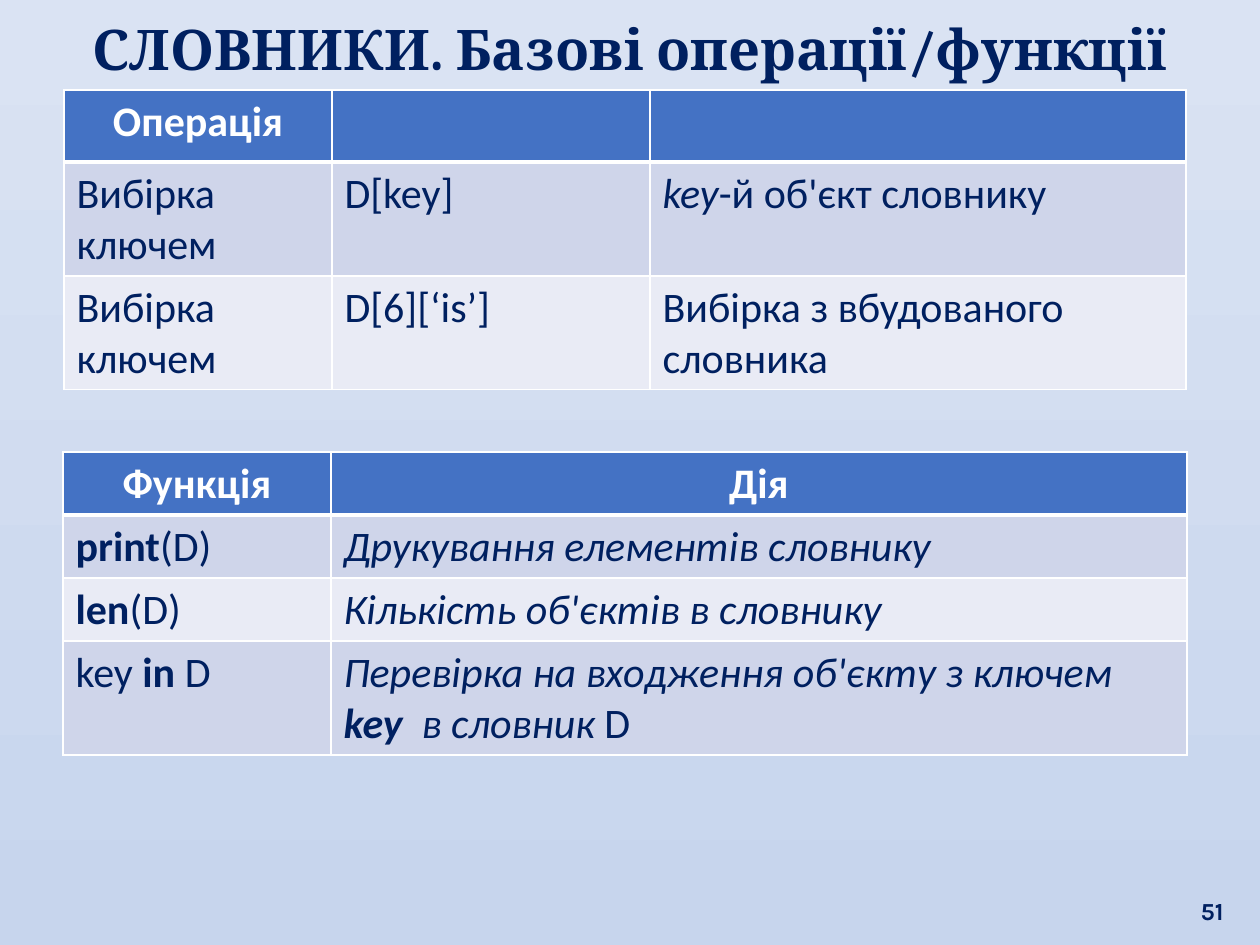
from lxml.etree import SubElement
from pptx import Presentation
from pptx.dml.color import RGBColor
from pptx.enum.text import MSO_ANCHOR, MSO_AUTO_SIZE, PP_ALIGN
from pptx.oxml.ns import qn
from pptx.util import Emu, Pt

PX_PER_INCH = 126
NAVY, WHITE, BLUE = "002060", "FFFFFF", "4472C4"
BANDS = ("CFD5EA", "E9EBF5")


def px(length):
    return Emu(round(length * 914400 / PX_PER_INCH))


def color(hex_value):
    return RGBColor.from_string(hex_value)


def write_text(frame, runs, font="Calibri", size=24, fill=NAVY, bold=False, align=PP_ALIGN.LEFT):
    """Write runs given as (text, marks); marks may hold b (bold) and i (italic)."""
    paragraph = frame.paragraphs[0]
    paragraph.alignment = align
    for text, marks in runs:
        run = paragraph.add_run()
        run.text = text
        run.font.name = font
        run.font.size = Pt(size)
        run.font.bold = bold or "b" in marks
        run.font.italic = "i" in marks
        run.font.color.rgb = color(fill)


class SlideBuilder:
    def __init__(self, presentation):
        self.slide = presentation.slides.add_slide(presentation.slide_layouts[5])

    def background(self, top, bottom):
        fill = self.slide.background.fill
        fill.gradient()
        fill.gradient_angle = 270
        for stop, hex_value, position in zip(fill.gradient_stops, (top, bottom), (0, 1)):
            stop.color.rgb = color(hex_value)
            stop.position = position

    def title(self, text, left, top, width, height):
        heading = self.slide.shapes.title
        heading.left, heading.top = px(left), px(top)
        heading.width, heading.height = px(width), px(height)
        frame = heading.text_frame
        frame.word_wrap = True
        frame.auto_size = MSO_AUTO_SIZE.NONE
        frame.vertical_anchor = MSO_ANCHOR.MIDDLE
        # 32 pt keeps the heading on one line above the first table
        write_text(frame, [(text, "b")], font="Cambria", size=32, align=PP_ALIGN.CENTER)

    def page_number(self, text, left, top, width, height):
        box = self.slide.shapes.add_textbox(px(left), px(top), px(width), px(height))
        frame = box.text_frame
        frame.word_wrap = True
        frame.vertical_anchor = MSO_ANCHOR.BOTTOM
        write_text(frame, [(text, "b")], font="Karla", size=14, align=PP_ALIGN.RIGHT)

    def borders(self, cell, **widths):
        properties = cell._tc.get_or_add_tcPr()
        for side in "LRTB":
            line = SubElement(properties, qn(f"a:ln{side}"), w=str(Pt(widths.get(side, 1))))
            solid = SubElement(line, qn("a:solidFill"))
            SubElement(solid, qn("a:srgbClr"), val=WHITE)

    def table(self, left, top, columns, heights, header, body):
        grid = self.slide.shapes.add_table(
            len(heights), len(columns), px(left), px(top), px(sum(columns)), px(sum(heights))
        ).table
        grid.horz_banding = False
        for column, width in zip(grid.columns, columns):
            column.width = px(width)
        for row, height in zip(grid.rows, heights):
            row.height = px(height)

        # Header with a thick rule below it
        for c, label in enumerate(header):
            cell = grid.cell(0, c)
            self.borders(cell, B=3)
            cell.fill.solid()
            cell.fill.fore_color.rgb = color(BLUE)
            if label:
                write_text(cell.text_frame, [(label, "")], fill=WHITE, bold=True,
                           align=PP_ALIGN.CENTER)

        # Banded body
        for r, row in enumerate(body, start=1):
            for c, runs in enumerate(row):
                cell = grid.cell(r, c)
                self.borders(cell, T=3 if r == 1 else 1)
                cell.fill.solid()
                cell.fill.fore_color.rgb = color(BANDS[(r - 1) % 2])
                write_text(cell.text_frame, runs)


def main():
    presentation = Presentation()
    presentation.slide_width, presentation.slide_height = px(1260), px(945)
    builder = SlideBuilder(presentation)
    builder.background("DAE3F3", "C7D5ED")
    builder.title("СЛОВНИКИ. Базові операції/функції", 15, 8, 1230, 80)
    builder.page_number("51", 1176, 869, 60, 63)

    # Operations
    key_lookup = [("Вибірка ключем", "")]
    operations = [
        [key_lookup, [("D[key]", "")], [("key", "i"), ("-й об'єкт словнику", "")]],
        [key_lookup, [("D[6][‘is’]", "")], [("Вибірка з вбудованого словника", "")]],
    ]
    builder.table(64, 90, (268, 318, 536), (72, 114, 113), ("Операція", "", ""), operations)

    # Functions
    functions = [
        [[("print", "b"), ("(D)", "")], [("Друкування елементів словнику", "i")]],
        [[("len", "b"), ("(D)", "")], [("Кількість об'єктів в словнику", "i")]],
        [
            [("key ", ""), ("in", "b"), (" D", "")],
            [("Перевірка на входження об'єкту з ключем ", "i"), ("key ", "bi"),
             (" в словник ", "i"), ("D", "")],
        ],
    ]
    builder.table(63, 452, (268, 856), (63, 63, 63, 114), ("Функція", "Дія"), functions)

    presentation.save("out.pptx")


if __name__ == "__main__":
    main()
